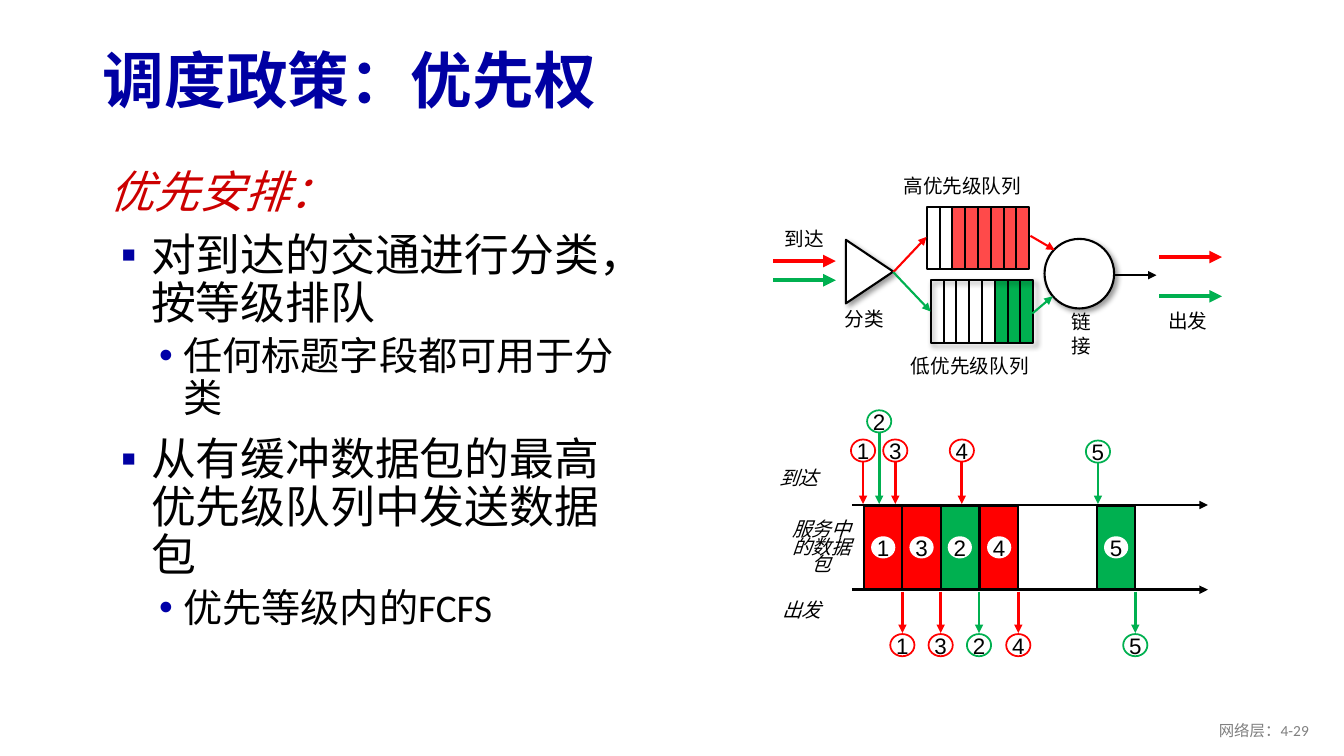
from dataclasses import dataclass

from lxml.etree import SubElement
from pptx import Presentation
from pptx.dml.color import RGBColor
from pptx.enum.shapes import MSO_CONNECTOR, MSO_SHAPE
from pptx.enum.text import MSO_ANCHOR, PP_ALIGN
from pptx.oxml.ns import qn
from pptx.util import Pt

EMU_PER_PX = 9144  # 100 px to the inch


@dataclass(frozen=True)
class Theme:
    text_font: str = "Calibri"
    diagram_font: str = "Arial"
    black: str = "000000"
    white: str = "FFFFFF"
    red: str = "FF0000"
    green: str = "00B050"
    title_blue: str = "0000A3"
    sub_bullet_blue: str = "0000A8"
    heading_red: str = "CC0000"
    grey: str = "808080"
    title_size: int = 44
    body_size: int = 32
    sub_size: int = 28
    number_size: int = 16
    label_size: int = 14
    footer_size: int = 11


def px(*lengths):
    return [round(length * EMU_PER_PX) for length in lengths]


class SlideBuilder:
    def __init__(self, slide, theme):
        self.slide = slide
        self.theme = theme

    def style(self, paragraph, size, color, name, bold=False, italic=False):
        font = paragraph.font
        font.size, font.name = Pt(size), name
        font.bold, font.italic = bold, italic
        font.color.rgb = RGBColor.from_string(color)

    def title(self, text, left, top, width, height):
        shape = self.slide.shapes.title
        shape.left, shape.top, shape.width, shape.height = px(left, top, width, height)
        shape.text_frame.text = text
        shape.text_frame.vertical_anchor = MSO_ANCHOR.MIDDLE
        paragraph = shape.text_frame.paragraphs[0]
        paragraph.alignment = PP_ALIGN.LEFT
        paragraph.line_spacing = 0.9
        self.style(paragraph, self.theme.title_size, self.theme.title_blue,
                   self.theme.text_font, bold=True)

    def text_box(self, left, top, width, height):
        frame = self.slide.shapes.add_textbox(*px(left, top, width, height)).text_frame
        frame.word_wrap = True
        return frame

    def body(self, items, left, top, width, height):
        """Items are (kind, text) pairs; kind is heading, bullet or sub."""
        theme = self.theme
        kinds = {
            "heading": (0, 39, -24, None, None, theme.body_size, theme.heading_red),
            "bullet": (0, 56, -30, "▪", theme.title_blue, theme.body_size, theme.black),
            "sub": (1, 88, -24, "•", theme.sub_bullet_blue, theme.sub_size, theme.black),
        }
        frame = self.text_box(left, top, width, height)
        for index, (kind, text) in enumerate(items):
            level, margin, indent, mark, mark_color, size, color = kinds[kind]
            paragraph = frame.add_paragraph() if index else frame.paragraphs[0]
            paragraph.text = text
            paragraph.level = level
            paragraph.line_spacing = 0.9
            if index:
                paragraph.space_before = Pt(5 if level else 10)
            properties = paragraph._p.get_or_add_pPr()
            for name, length in zip(("marL", "indent"), px(margin, indent)):
                properties.set(name, str(length))
            if mark:
                bullet_color = SubElement(properties, qn("a:buClr"))
                SubElement(bullet_color, qn("a:srgbClr"), val=mark_color)
                SubElement(properties, qn("a:buFont"), typeface=theme.diagram_font)
                SubElement(properties, qn("a:buChar"), char=mark)
            self.style(paragraph, size, color, theme.text_font, italic=kind == "heading")

    def label(self, text, left, top, width, height=34, align=PP_ALIGN.CENTER,
              italic=False, spacing=None):
        paragraph = self.text_box(left, top, width, height).paragraphs[0]
        paragraph.text = text
        paragraph.alignment = align
        if spacing:
            paragraph.line_spacing = Pt(spacing)
        self.style(paragraph, self.theme.label_size, self.theme.black,
                   self.theme.diagram_font, italic=italic)

    def footer(self, text, left, top, width, height):
        frame = self.text_box(left, top, width, height)
        frame.vertical_anchor = MSO_ANCHOR.MIDDLE
        paragraph = frame.paragraphs[0]
        paragraph.text = text
        paragraph.alignment = PP_ALIGN.RIGHT
        self.style(paragraph, self.theme.footer_size, self.theme.grey, self.theme.text_font)

    def shape(self, kind, left, top, width, height, fill=None, line=None,
              weight=1.5, alpha=None, shadow=False):
        shape = self.slide.shapes.add_shape(kind, *px(left, top, width, height))
        shape.shadow.inherit = False
        if fill:
            shape.fill.solid()
            shape.fill.fore_color.rgb = RGBColor.from_string(fill)
        else:
            shape.fill.background()
        if alpha:
            color = shape._element.spPr.find(qn("a:solidFill"))[0]
            SubElement(color, qn("a:alpha"), val=str(alpha * 1000))
        if line:
            shape.line.color.rgb = RGBColor.from_string(line)
            shape.line.width = Pt(weight)
        else:
            shape.line.fill.background()
        if shadow:
            effects = shape._element.spPr.find(qn("a:effectLst"))
            outer = SubElement(effects, qn("a:outerShdw"), blurRad=str(Pt(4)),
                               dist=str(Pt(3)), dir="2700000", algn="tl", rotWithShape="0")
            color = SubElement(outer, qn("a:srgbClr"), val=self.theme.black)
            SubElement(color, qn("a:alpha"), val="40000")
        return shape

    def line(self, start, end, color, weight=1.5, arrow=True):
        connector = self.slide.shapes.add_connector(
            MSO_CONNECTOR.STRAIGHT, *px(*start, *end))
        connector.line.color.rgb = RGBColor.from_string(color)
        connector.line.width = Pt(weight)
        if arrow:
            SubElement(connector.line._get_or_add_ln(), qn("a:tailEnd"), type="triangle")
        SubElement(connector._element.spPr, qn("a:effectLst"))

    def packet_number(self, number, center, top, line=None):
        shape = self.shape(MSO_SHAPE.OVAL, center - 12, top, 24, 22,
                           self.theme.white, line, 1.25)
        frame = shape.text_frame
        frame.word_wrap = False
        frame.margin_left = frame.margin_right = frame.margin_top = frame.margin_bottom = 0
        frame.vertical_anchor = MSO_ANCHOR.MIDDLE
        paragraph = frame.paragraphs[0]
        paragraph.text = str(number)
        paragraph.alignment = PP_ALIGN.CENTER
        self.style(paragraph, self.theme.number_size, self.theme.black, self.theme.diagram_font)

    def queue(self, left, top, color, empty, alpha=None, shadow=False):
        """Draw eight cells, filled after the given number of empty ones."""
        width, height, cells = 102, 62, 8
        edges = [round(left + width * cell / cells) for cell in range(cells + 1)]
        self.shape(MSO_SHAPE.RECTANGLE, edges[empty], top, edges[-1] - edges[empty],
                   height, color, alpha=alpha)
        self.shape(MSO_SHAPE.RECTANGLE, left, top, width, height,
                   line=self.theme.black, shadow=shadow)
        for edge in edges[1:-1]:
            self.line((edge, top), (edge, top + height), self.theme.black, arrow=False)


def draw_queues(builder):
    theme = builder.theme
    black, red, green = theme.black, theme.red, theme.green
    builder.queue(923, 278, green, empty=5, shadow=True)
    builder.queue(919, 205, red, empty=2, alpha=71)
    classifier = builder.shape(MSO_SHAPE.ISOSCELES_TRIANGLE, 831, 246, 63, 47,
                               theme.white, black, shadow=True)
    classifier.rotation = 90
    builder.shape(MSO_SHAPE.OVAL, 1036, 237, 69, 69, theme.white, black, shadow=True)
    for start, end, color in (
            ((886, 270), (919, 235), red), ((886, 270), (923, 309), green),
            ((1022, 234), (1046, 248), red), ((1024, 311), (1044, 294), green),
            ((1105, 273), (1147, 273), black)):
        builder.line(start, end, color)
    for left, top, color in ((767, 259, red), (767, 278, green),
                             (1150, 255, red), (1150, 294, green)):
        builder.line((left, top), (left + 62, top), color, 3)
    for text, left, top, width in (
            ("高优先级队列", 864, 168, 181), ("低优先级队列", 875, 346, 174),
            ("到达", 756, 220, 83), ("分类", 814, 300, 86),
            ("出发", 1121, 302, 114), ("链接", 1047, 303, 50)):
        builder.label(text, left, top, width)


def draw_timeline(builder):
    black, red, green = builder.theme.black, builder.theme.red, builder.theme.green
    start, end, slot = 501, 585, 38
    colors = {1: red, 2: green, 3: red, 4: red, 5: green}
    service = {1: 857, 3: 895, 2: 933, 4: 972, 5: 1088}
    arrivals = {1: (856, 436), 3: (888, 436), 4: (954, 436), 2: (872, 407), 5: (1089, 437)}
    for number, left in service.items():
        builder.shape(MSO_SHAPE.RECTANGLE, left, start + 1, slot, 83,
                      colors[number], black, 1.25)
        builder.packet_number(number, left + slot / 2, 532)
    for axis in (start, end):
        builder.line((845, axis), (1198, axis), black, 2)
    builder.label("到达", 763, 457, 88, align=PP_ALIGN.LEFT, italic=True)
    builder.label("出发", 766, 588, 119, align=PP_ALIGN.LEFT, italic=True)
    builder.label("服务中的数据包", 768, 513, 94, 65, italic=True, spacing=12.8)
    for number, (center, top) in arrivals.items():
        builder.packet_number(number, center, top, colors[number])
        builder.line((center, top + 22), (center, start - 1), colors[number], 2)
    for number, left in service.items():
        center = left + slot
        builder.packet_number(number, center, 629, colors[number])
        builder.line((center, end + 2), (center, 628), colors[number], 2)


def main():
    presentation = Presentation()
    presentation.slide_width, presentation.slide_height = px(1333, 750)
    slide = presentation.slides.add_slide(presentation.slide_layouts.get_by_name("Title Only"))
    builder = SlideBuilder(slide, Theme())
    builder.title("调度政策：优先权", 92, 34, 1150, 98)
    builder.body([("heading", "优先安排："),
                  ("bullet", "对到达的交通进行分类，按等级排队"),
                  ("sub", "任何标题字段都可用于分类")], 84, 164, 556, 293)
    builder.body([("bullet", "从有缓冲数据包的最高优先级队列中发送数据包"),
                  ("sub", "优先等级内的FCFS")], 84, 428, 556, 215)
    draw_queues(builder)
    draw_timeline(builder)
    builder.footer("网络层：4-29", 1008, 705, 300, 40)
    presentation.save("out.pptx")


if __name__ == "__main__":
    main()
